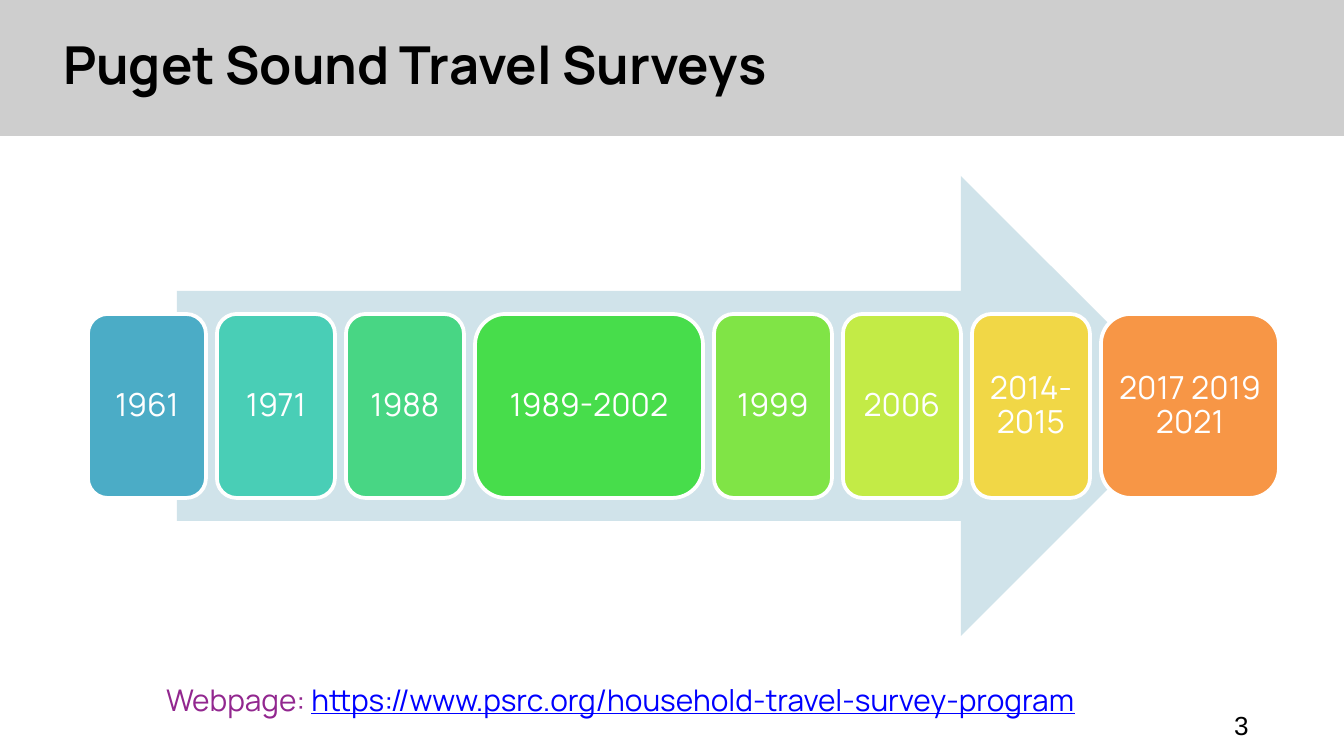
"""Build the Puget Sound travel survey timeline slide."""
from lxml import etree
from pptx import Presentation
from pptx.dml.color import RGBColor
from pptx.enum.shapes import MSO_SHAPE
from pptx.enum.text import MSO_ANCHOR, PP_ALIGN
from pptx.oxml.ns import qn
from pptx.util import Pt

TITLE = "Puget Sound Travel Surveys"
LINK_LABEL = "Webpage: "
LINK_ADDRESS = "https://www.psrc.org/household-travel-survey-program"
PAGE_NUMBER = "3"

BLACK = RGBColor(0x00, 0x00, 0x00)
WHITE = RGBColor(0xFF, 0xFF, 0xFF)
BAND_GRAY = RGBColor(0xBF, 0xBF, 0xBF)
ARROW_BLUE = RGBColor(0xD0, 0xE3, 0xEA)
LABEL_PURPLE = RGBColor(0x92, 0x27, 0x8F)
LINK_BLUE = RGBColor(0x00, 0x00, 0xFF)

SURVEYS = [
    ("1961", 118, RGBColor(0x4B, 0xAC, 0xC6)),
    ("1971", 118, RGBColor(0x49, 0xCE, 0xB6)),
    ("1988", 118, RGBColor(0x48, 0xD6, 0x84)),
    ("1989-2002", 228, RGBColor(0x47, 0xDD, 0x4B)),
    ("1999", 118, RGBColor(0x80, 0xE4, 0x46)),
    ("2006", 118, RGBColor(0xC3, 0xEB, 0x46)),
    ("2014-2015", 118, RGBColor(0xF1, 0xD7, 0x46)),
    ("2017 2019 2021", 178, RGBColor(0xF7, 0x96, 0x46)),
]
CARD_LEFT, CARD_TOP, CARD_HEIGHT, CARD_GAP, CARD_INSET = 88, 314, 184, 11, 9
BODY_FONT = "Manrope"


def px(length):
    return round(length * 914400 / 134.4)


def set_insets(frame, inset):
    frame.margin_left = frame.margin_right = px(inset)
    frame.margin_top = frame.margin_bottom = px(inset)


def style(run, size, color, name=BODY_FONT, bold=False):
    run.font.size = Pt(size)
    run.font.name = name
    run.font.bold = bold
    run.font.color.rgb = color


def add_block(slide, preset, box, color):
    block = slide.shapes.add_shape(preset, *map(px, box))
    block.shadow.inherit = False
    block.fill.solid()
    block.fill.fore_color.rgb = color
    block.line.fill.background()
    return block


def add_label(slide, box):
    frame = slide.shapes.add_textbox(*map(px, box)).text_frame
    frame.word_wrap = True
    return frame


def add_header(slide):
    band = add_block(slide, MSO_SHAPE.RECTANGLE, (-1, -1, 1345, 137), BAND_GRAY)
    tint = band.fill._xPr.find(".//" + qn("a:srgbClr"))
    etree.SubElement(tint, qn("a:alpha"), val="76000")
    title = add_label(slide, (63, 39, 896, 59))
    set_insets(title, 0)
    title.text = TITLE
    title.paragraphs[0].line_spacing = 0.9
    style(title.paragraphs[0].runs[0], 28, BLACK, bold=True)


def add_timeline(slide):
    add_block(slide, MSO_SHAPE.RIGHT_ARROW, (177, 176, 1014, 460), ARROW_BLUE)
    left = CARD_LEFT
    for years, width, color in SURVEYS:
        card = add_block(slide, MSO_SHAPE.ROUNDED_RECTANGLE,
                         (left, CARD_TOP, width, CARD_HEIGHT), color)
        card.line.color.rgb = WHITE
        card.line.width = Pt(2)
        frame = card.text_frame
        frame.word_wrap = True
        frame.vertical_anchor = MSO_ANCHOR.MIDDLE
        set_insets(frame, CARD_INSET)
        frame.text = years
        paragraph = frame.paragraphs[0]
        paragraph.alignment = PP_ALIGN.CENTER
        paragraph.line_spacing = 0.9
        style(paragraph.runs[0], 17, WHITE)
        left += width + CARD_GAP


def add_footer(slide):
    webpage = add_label(slide, (153, 675, 1150, 50)).paragraphs[0]
    webpage.text = LINK_LABEL
    style(webpage.runs[0], 16, LABEL_PURPLE)
    address = webpage.add_run()
    address.text = LINK_ADDRESS
    style(address, 16, LINK_BLUE)
    address.font.underline = True
    number = add_label(slide, (1204, 703, 75, 46)).paragraphs[0]
    number.text = PAGE_NUMBER
    number.alignment = PP_ALIGN.CENTER
    style(number.runs[0], 14, BLACK, name="Arial")


def main():
    deck = Presentation()
    deck.slide_width, deck.slide_height = px(1344), px(756)
    slide = deck.slides.add_slide(deck.slide_layouts[6])
    add_header(slide)
    add_timeline(slide)
    add_footer(slide)
    deck.save("out.pptx")


if __name__ == "__main__":
    main()
